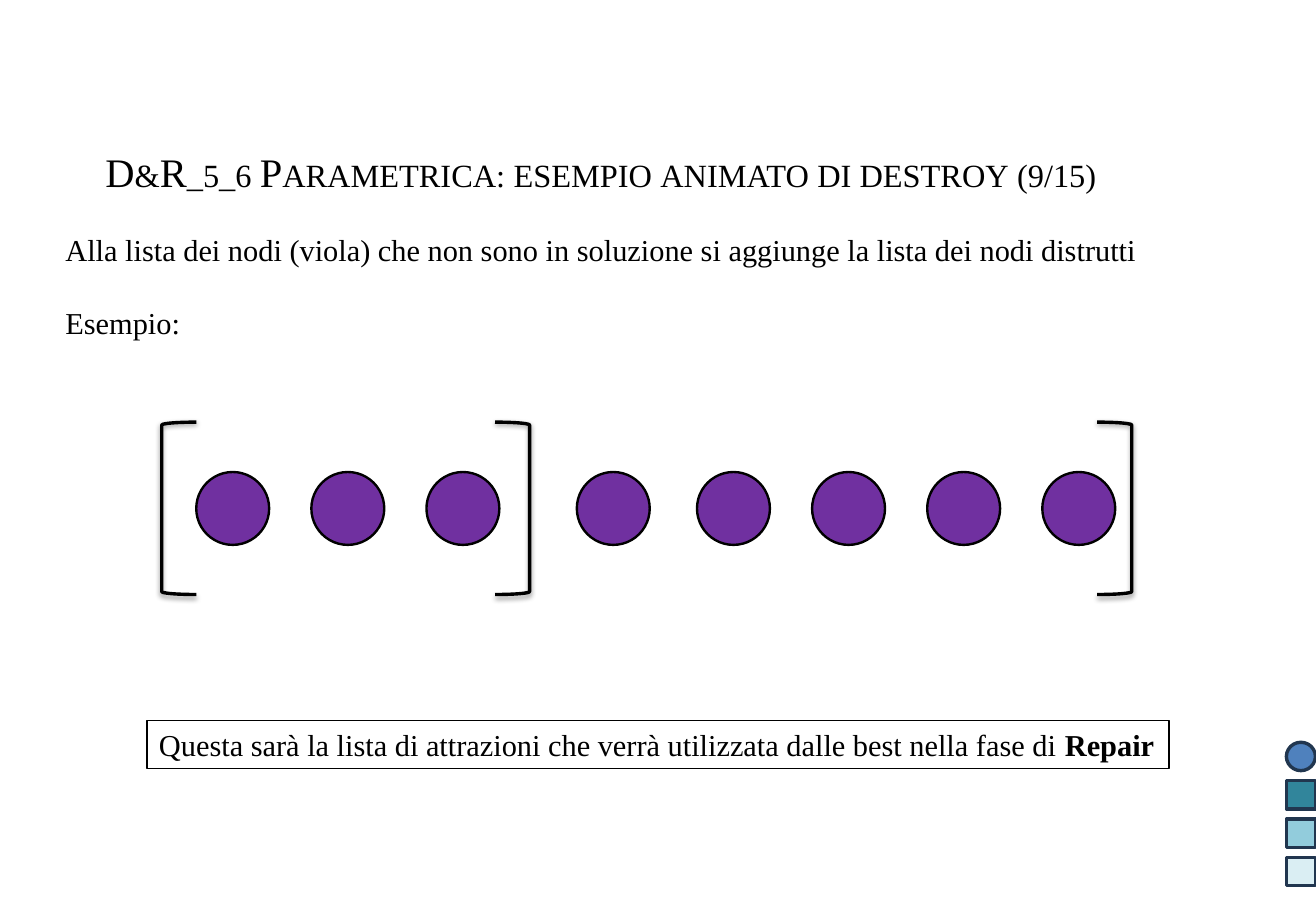
from lxml.etree import SubElement
from pptx import Presentation
from pptx.dml.color import RGBColor
from pptx.enum.shapes import MSO_SHAPE
from pptx.enum.text import MSO_ANCHOR, PP_ALIGN
from pptx.oxml.ns import qn
from pptx.util import Pt

FONT = "Times New Roman"
BLACK, PURPLE, NAVY = "000000", "7030A0", "21364F"


def color(value):
    return RGBColor.from_string(value)


def add_run(paragraph, text, size=18, bold=False, small_caps=False):
    run = paragraph.add_run()
    run.text = text
    run.font.name = FONT
    run.font.size = Pt(size)
    run.font.bold = bold
    run.font.color.rgb = color(BLACK)
    if small_caps:
        run.font._element.set("cap", "small")


def add_text_box(slide, box, anchor=MSO_ANCHOR.TOP):
    shape = slide.shapes.add_textbox(*map(Pt, box))
    shape.text_frame.word_wrap = True
    shape.text_frame.vertical_anchor = anchor
    return shape


def add_shape(slide, kind, box, fill, line, width):
    shape = slide.shapes.add_shape(kind, *map(Pt, box))
    shape.shadow.inherit = False
    if fill:
        shape.fill.solid()
        shape.fill.fore_color.rgb = color(fill)
    else:
        shape.fill.background()
    shape.line.color.rgb = color(line)
    shape.line.width = Pt(width)
    return shape


def add_bracket(slide, box, closing):
    shape = add_shape(slide, MSO_SHAPE.LEFT_BRACKET, box, None, BLACK, 2)
    shape.adjustments[0] = 0.083
    shape.rotation = 180 if closing else 0
    # Soft shadow straight below
    effects = shape._element.spPr.find(qn("a:effectLst"))
    shadow = SubElement(effects, qn("a:outerShdw"), blurRad=str(Pt(3.1)),
                        dist=str(Pt(1.6)), dir="5400000", rotWithShape="0")
    shadow_color = SubElement(shadow, qn("a:srgbClr"), val=BLACK)
    SubElement(shadow_color, qn("a:alpha"), val="38000")


def build_title(slide, box):
    shape = add_text_box(slide, box, MSO_ANCHOR.MIDDLE)
    add_run(shape.text_frame.paragraphs[0],
            "D&R_5_6 Parametrica: esempio animato di destroy (9/15)",
            size=24, small_caps=True)


def build_introduction(slide, box):
    frame = add_text_box(slide, box).text_frame
    sentence = frame.paragraphs[0]
    add_run(sentence, "Alla lista dei nodi (viola) che non sono in soluzione "
                      "si aggiunge la lista dei nodi distrutti")
    example = frame.add_paragraph()
    example.space_before = Pt(22)
    add_run(example, "Esempio:")
    for paragraph in frame.paragraphs:
        paragraph.alignment = PP_ALIGN.JUSTIFY


def build_node_lists(slide, box):
    left, top, width, height = box
    bracket_width, diameter, pitch = 20.5, 43.2, 68.2
    # Opening bracket, end of the first list, end of the joined list
    for offset, closing in ((0, False), (197.5, True), (width - bracket_width, True)):
        add_bracket(slide, (left + offset, top, bracket_width, height), closing)
    # Nodes: three unused, one single, four destroyed
    for start, count in ((20.5, 3), (246, 1), (317.2, 4)):
        for index in range(count):
            node = (left + start + index * pitch, top + 29.6, diameter, diameter)
            add_shape(slide, MSO_SHAPE.OVAL, node, PURPLE, BLACK, 1.42)


def build_conclusion(slide, box):
    shape = add_text_box(slide, box)
    shape.line.color.rgb = color(BLACK)
    shape.line.width = Pt(0.75)
    paragraph = shape.text_frame.paragraphs[0]
    paragraph.alignment = PP_ALIGN.JUSTIFY
    add_run(paragraph, "Questa sarà la lista di attrazioni che verrà utilizzata "
                       "dalle best nella fase di ")
    add_run(paragraph, "Repair", bold=True)


def build_side_markers(slide, box):
    left, top, width, height = box
    size, fills = 16.8, ("4F81BD", "31859B", "92CCDC", "DAEEF3")
    pitch = (height - size) / (len(fills) - 1)
    for index, fill in enumerate(fills):
        kind = MSO_SHAPE.RECTANGLE if index else MSO_SHAPE.FLOWCHART_CONNECTOR
        marker = (left, top + index * pitch, width, size)
        add_shape(slide, kind, marker, fill, NAVY, 2)


def main():
    presentation = Presentation()
    presentation.slide_width, presentation.slide_height = Pt(779.76), Pt(540)
    slide = presentation.slides.add_slide(presentation.slide_layouts[6])
    build_title(slide, (55.4, 71.3, 724.3, 60.5))
    build_introduction(slide, (31.7, 133.2, 650.2, 72.7))
    build_node_lists(slide, (95.8, 250.2, 574.8, 102.2))
    build_conclusion(slide, (87.1, 427, 605.5, 28.8))
    build_side_markers(slide, (762.2, 440, 17.2, 85))
    presentation.save("out.pptx")


if __name__ == "__main__":
    main()
